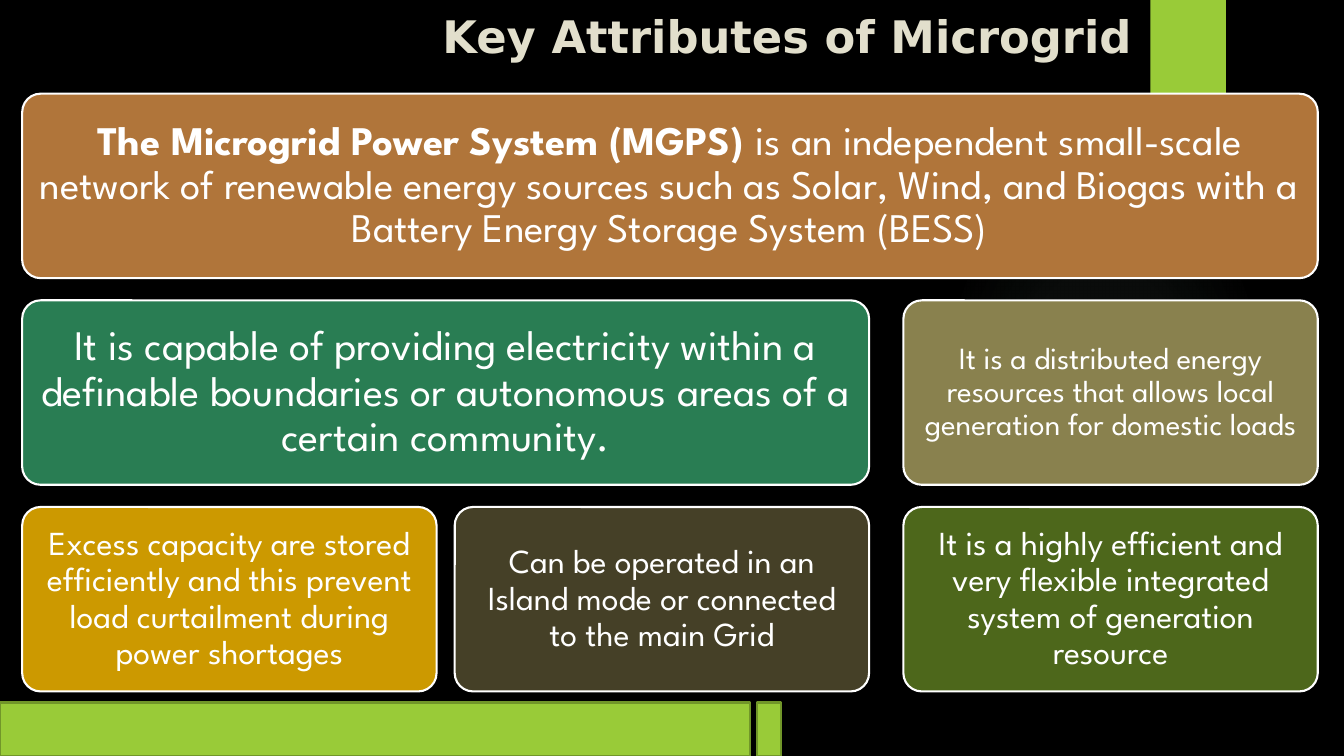
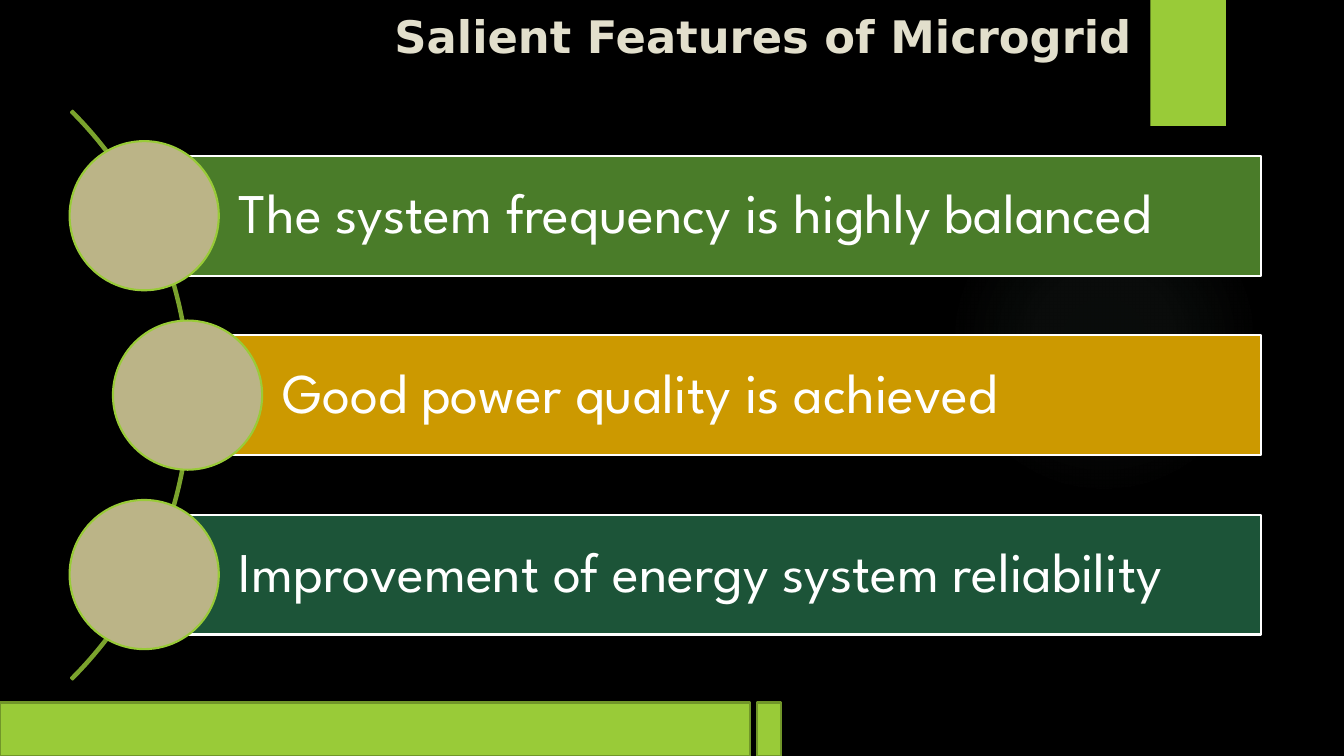
from dataclasses import dataclass
from typing import NamedTuple

from pptx import Presentation
from pptx import util as u
from pptx.dml.color import RGBColor
from pptx.enum import shapes, text
from pptx.oxml import parse_xml
from pptx.oxml.ns import nsdecls


@dataclass(frozen=True)
class Theme:
    background: str = "000000"
    accent: str = "99CB38"
    accent_edge: str = "719629"
    arc: str = "7BA32D"
    glow: str = "87A896"
    title: str = "E2DFCC"
    white: str = "FFFFFF"
    disc: str = "BBB487"
    brown: str = "B0753A"
    green: str = "297D53"
    olive: str = "89814E"
    gold: str = "CC9900"
    umber: str = "454027"
    moss: str = "4D671B"
    leaf: str = "4A7C29"
    forest: str = "1C5438"
    title_font: str = "DejaVu Sans"
    body_font: str = "League Spartan"
    title_size: int = 32
    lead_size: int = 29
    large_size: int = 30
    medium_size: int = 24
    small_size: int = 22
    feature_size: int = 40
    line_width: float = 1.5


class Box(NamedTuple):
    left: float
    top: float
    width: float
    height: float


THEME = Theme()
SHAPE = shapes.MSO_SHAPE
ALIGN = text.PP_ALIGN
ANCHOR = text.MSO_ANCHOR

TITLE_BOX = Box(2.39, 0.04, 8.94, 1.12)
TILE_GRID = Box(0.22, 0.93, 12.85, 5.93)
FEATURE_LIST = Box(0.69, 1.4, 11.82, 5.04)

# Each tile: row, first column, last column, colour, size, inset, bold lead, wording
TILES = [
    (0, 0, 2, THEME.brown, THEME.lead_size, 0.12, "The Microgrid Power System (MGPS) ",
     "is an independent small-scale network of renewable energy sources such as "
     "Solar, Wind, and Biogas with a Battery Energy Storage System (BESS)"),
    (1, 0, 1, THEME.green, THEME.large_size, 0.12, "",
     "It is capable of providing electricity within a definable boundaries or "
     "autonomous areas of a certain community."),
    (2, 0, 0, THEME.gold, THEME.medium_size, 0.1, "",
     "Excess capacity are stored efficiently and this prevent load curtailment "
     "during power shortages"),
    (2, 1, 1, THEME.umber, THEME.medium_size, 0.1, "",
     "Can be operated in an Island mode or connected to the main Grid"),
    (1, 2, 2, THEME.olive, THEME.small_size, 0.09, "",
     "It is a distributed energy resources that allows local generation for domestic loads"),
    (2, 2, 2, THEME.moss, THEME.medium_size, 0.1, "",
     "It is a highly efficient and very flexible integrated system of generation resource"),
]

FEATURES = [
    ("The system frequency is highly balanced", THEME.leaf, 0),
    ("Good power quality is achieved", THEME.gold, 0.43),
    ("Improvement of energy system reliability", THEME.forest, 0),
]


def place(shape, box):
    shape.left, shape.top, shape.width, shape.height = map(u.Inches, box)


def draw(slide, kind, box, fill=None, line=None, adjustments=()):
    shape = slide.shapes.add_shape(kind, *map(u.Inches, box))
    shape.shadow.inherit = False
    for index, value in enumerate(adjustments):
        shape.adjustments[index] = value
    if fill:
        shape.fill.solid()
        shape.fill.fore_color.rgb = RGBColor.from_string(fill)
    else:
        shape.fill.background()
    if line:
        shape.line.color.rgb = RGBColor.from_string(line)
        shape.line.width = u.Pt(THEME.line_width)
    else:
        shape.line.fill.background()
    return shape


def write(shape, wording, *, size, lead="", font=THEME.body_font, color=THEME.white,
          bold=False, align=ALIGN.LEFT, anchor=ANCHOR.MIDDLE,
          insets=(0.1, 0.05, 0.1, 0.05), spacing=0.9):
    """Fill a shape with one paragraph, opened by an optional bold lead."""
    frame = shape.text_frame
    frame.word_wrap = True
    frame.auto_size = text.MSO_AUTO_SIZE.NONE
    frame.vertical_anchor = anchor
    (frame.margin_left, frame.margin_top,
     frame.margin_right, frame.margin_bottom) = map(u.Inches, insets)
    paragraph = frame.paragraphs[0]
    paragraph.alignment = align
    paragraph.line_spacing = spacing
    for part, is_bold in ((lead, True), (wording, bold)):
        if part:
            run = paragraph.add_run()
            run.text = part
            run.font.name = font
            run.font.size = u.Pt(size)
            run.font.bold = is_bold
            run.font.color.rgb = RGBColor.from_string(color)


def draw_glow(slide, box):
    glow = draw(slide, SHAPE.OVAL, box)
    stops = "".join(
        f'<a:gs pos="{position}000"><a:srgbClr val="{THEME.glow}">'
        f'<a:alpha val="{alpha}000"/></a:srgbClr></a:gs>'
        for position, alpha in ((0, 7), (36, 6), (69, 0)))
    gradient = parse_xml(
        f'<a:gradFill {nsdecls("a")}><a:gsLst>{stops}</a:gsLst><a:path path="circle">'
        '<a:fillToRect l="50000" t="50000" r="50000" b="50000"/></a:path></a:gradFill>')
    no_fill = glow.element.spPr.find("{*}noFill")
    no_fill.getparent().replace(no_fill, gradient)
    return glow


def set_up_layout(layout, slide):
    """Give the layout its background, title place and bands, drawn by way of a slide."""
    layout.background.fill.solid()
    layout.background.fill.fore_color.rgb = RGBColor.from_string(THEME.background)
    for placeholder in list(layout.placeholders):
        if placeholder.placeholder_format.type == shapes.PP_PLACEHOLDER.TITLE:
            place(placeholder, TITLE_BOX)
        else:
            placeholder.element.getparent().remove(placeholder.element)
    decorations = [
        draw_glow(slide, Box(9.41, 1.83, 3.08, 3.08)),
        draw(slide, SHAPE.RECTANGLE, Box(11.41, 0, 0.75, 1.25), THEME.accent),
    ]
    for left, width in ((0, 7.44), (7.51, 0.24)):
        decorations.append(draw(slide, SHAPE.RECTANGLE, Box(left, 6.97, width, 0.53),
                                THEME.accent, THEME.accent_edge))
    for decoration in decorations:
        layout.element.cSld.spTree.append(decoration.element)


def write_title(slide, wording):
    write(slide.shapes.title, wording, size=THEME.title_size, font=THEME.title_font,
          color=THEME.title, bold=True, align=ALIGN.RIGHT, anchor=ANCHOR.TOP, spacing=1)


def draw_tiles(slide, box):
    """Lay tiles on three rows and three columns; the last column stands further off."""
    tile_width, tile_height = 4.11, 1.83
    column_lefts = (0, 4.29, box.width - tile_width)
    row_step = (box.height - tile_height) / 2
    for row, first, last, color, size, inset, lead, wording in TILES:
        left = column_lefts[first]
        width = column_lefts[last] + tile_width - left
        tile = draw(slide, SHAPE.ROUNDED_RECTANGLE,
                    Box(box.left + left, box.top + row * row_step, width, tile_height),
                    color, THEME.white, (0.1,))
        write(tile, wording, lead=lead, size=size, align=ALIGN.CENTER, insets=(inset,) * 4)


def draw_features(slide, box):
    """Draw bars that start at the centres of discs strung along an arc."""
    disc, bar_height, arc = 1.48, 1.19, 7.98
    row_step = (box.height - disc) / (len(FEATURES) - 1)
    draw(slide, SHAPE.BLOCK_ARC,
         Box(box.left - 6.78, box.top + (box.height - arc) / 2, arc, arc),
         line=THEME.arc, adjustments=(189, 27, 0.003))
    for row, (wording, color, indent) in enumerate(FEATURES):
        left, top = box.left + indent, box.top + row * row_step
        bar = draw(slide, SHAPE.RECTANGLE,
                   Box(left + disc / 2, top + (disc - bar_height) / 2,
                       box.width - indent - disc / 2, bar_height),
                   color, THEME.white)
        write(bar, wording, size=THEME.feature_size, insets=(0.94, 0.11, 0.11, 0.11))
        draw(slide, SHAPE.OVAL, Box(left, top, disc, disc), THEME.disc, THEME.accent)


def main():
    presentation = Presentation()
    presentation.slide_width = u.Inches(13.33)
    presentation.slide_height = u.Inches(7.5)
    layout = presentation.slide_layouts.get_by_name("Title Only")
    attributes, features = [presentation.slides.add_slide(layout) for _ in range(2)]
    set_up_layout(layout, attributes)

    write_title(attributes, "Key Attributes of Microgrid")
    draw_tiles(attributes, TILE_GRID)

    write_title(features, "Salient Features of Microgrid")
    draw_features(features, FEATURE_LIST)

    presentation.save("out.pptx")


if __name__ == "__main__":
    main()
